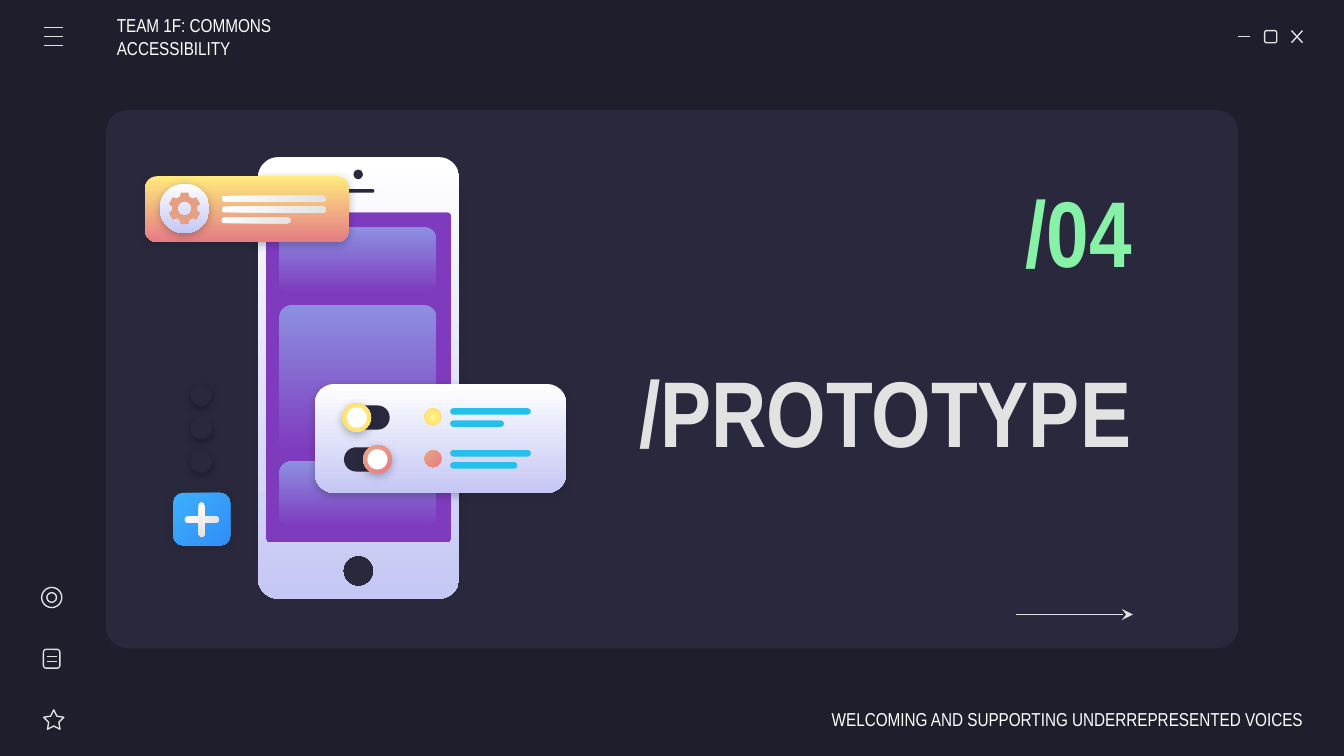
from dataclasses import dataclass
from math import cos, radians, sin

from pptx import Presentation
from pptx.dml.color import RGBColor
from pptx.enum.shapes import MSO_CONNECTOR, MSO_SHAPE as Preset
from pptx.enum.text import MSO_ANCHOR, PP_ALIGN as Align
from pptx.oxml import parse_xml
from pptx.oxml.ns import nsdecls, qn
from pptx.util import Pt


@dataclass(frozen=True)
class Theme:
    font: str = "Arial Narrow"
    title_size: int = 50
    small_size: int = 10
    hairline: float = 0.75
    background: str = "1E1E2C"
    panel: str = "29283D"
    light: str = "E2E2E2"
    white: str = "FFFFFF"
    green: str = "86F1A7"
    purple: str = "7E3BBE"
    gear: str = "E5A083"
    cyan: str = "24BFEB"
    black: str = "000000"
    # Gradients: first colour, last colour, direction
    pale: tuple = ("FFFFFF", "C5C7F4", "down")
    card: tuple = ("8D90E1", "7E3BBE", "down")
    sunset: tuple = ("FFEA7D", "E57C85", "down")
    silver: tuple = ("FFFFFF", "E2E2E2", "diagonal")
    blue: tuple = ("3DB0FD", "308EF7", "diagonal")
    coral: tuple = ("E9A984", "E57C85", "diagonal")
    yellow: tuple = ("FFF68E", "FFD966", "radial")


THEME = Theme()


@dataclass(frozen=True)
class Box:
    x: float
    y: float
    w: float
    h: float

    def inner(self, x, y, w, h):
        return Box(self.x + x, self.y + y, w, h)

    def points(self):
        return Pt(self.x), Pt(self.y), Pt(self.w), Pt(self.h)


def paint(shape, fill=None, line=None, shadow=None):
    shape.shadow.inherit = False
    if fill is None:
        shape.fill.background()
    elif isinstance(fill, str):
        shape.fill.solid()
        shape.fill.fore_color.rgb = RGBColor.from_string(fill)
    else:
        *colors, direction = fill
        shape.fill.gradient()
        for stop, color in zip(shape.fill.gradient_stops, colors):
            stop.color.rgb = RGBColor.from_string(color)
        if direction == "radial":
            lin = shape._element.spPr.find(qn("a:gradFill")).find(qn("a:lin"))
            lin.getparent().replace(lin, parse_xml(
                f'<a:path {nsdecls("a")} path="circle">'
                '<a:fillToRect l="50000" t="50000" r="50000" b="50000"/></a:path>'))
        else:
            shape.fill.gradient_angle = 270 if direction == "down" else 315
    if line:
        shape.line.color.rgb = RGBColor.from_string(line)
        shape.line.width = Pt(THEME.hairline)
    else:
        shape.line.fill.background()
    if shadow:
        shape._element.spPr.find(qn("a:effectLst")).append(parse_xml(
            f'<a:outerShdw {nsdecls("a")} blurRad="{Pt(4.5)}" dist="{Pt(1.5)}" dir="5400000" '
            f'algn="bl" rotWithShape="0"><a:srgbClr val="{shadow}"><a:alpha val="30000"/>'
            '</a:srgbClr></a:outerShdw>'))
    return shape


def rounded(shapes, box, radius, **look):
    shape = shapes.add_shape(Preset.ROUNDED_RECTANGLE, *box.points())
    shape.adjustments[0] = radius / min(box.w, box.h)
    return paint(shape, **look)


def pill(shapes, box, **look):
    return rounded(shapes, box, min(box.w, box.h) / 2, **look)


def disc(shapes, box, **look):
    return paint(shapes.add_shape(Preset.OVAL, *box.points()), **look)


def rule(shapes, x1, y1, x2, y2):
    line = shapes.add_connector(MSO_CONNECTOR.STRAIGHT, Pt(x1), Pt(y1), Pt(x2), Pt(y2))
    line.line.color.rgb = RGBColor.from_string(THEME.light)
    line.line.width = Pt(THEME.hairline)
    line._element.spPr.append(parse_xml(f'<a:effectLst {nsdecls("a")}/>'))
    return line


def polar(x, y, radius, degrees):
    return x + radius * cos(radians(degrees)), y + radius * sin(radians(degrees))


def rounded_outline(box, radius):
    right, bottom = box.x + box.w - radius, box.y + box.h - radius
    left, top = box.x + radius, box.y + radius
    corners = [(right, bottom), (left, bottom), (left, top), (right, top)]
    return [polar(x, y, radius, 90 * i + step)
            for i, (x, y) in enumerate(corners) for step in range(0, 91, 10)]


def cutout(shapes, outlines, fill):
    """Draw the first outline with the others as holes in it."""
    scaled = [[(Pt(x), Pt(y)) for x, y in outline] for outline in outlines]
    builder = shapes.build_freeform(*scaled[0][0], scale=1.0)
    for i, outline in enumerate(scaled):
        if i:
            builder.move_to(*outline[0])
        builder.add_line_segments(outline[1:], close=True)
    return paint(builder.convert_to_shape(), fill)


def label(shapes, box, text, size, color, bold=False, align=Align.RIGHT, left=7.2, right=7.2):
    frame = shapes.add_textbox(*box.points()).text_frame
    frame.word_wrap = True
    frame.vertical_anchor = MSO_ANCHOR.MIDDLE
    frame.margin_left, frame.margin_right = Pt(left), Pt(right)
    frame.margin_top = frame.margin_bottom = Pt(7.2)
    paragraph = frame.paragraphs[0]
    paragraph.text = text
    paragraph.alignment = align
    font = paragraph.font
    font.name, font.size, font.bold = THEME.font, Pt(size), bold
    font.color.rgb = RGBColor.from_string(color)


def window_controls(shapes, box):
    middle = box.y + box.h / 2
    rule(shapes, box.x, middle, box.x + 6.5, middle)
    rounded(shapes, box.inner(14.4, 0, 6.5, 6.5), 1.1, line=THEME.light)
    left, right, bottom = box.x + 28.8, box.x + box.w, box.y + box.h
    rule(shapes, left, box.y, right, bottom)
    rule(shapes, right, box.y, left, bottom)


def menu(shapes, box):
    for i in range(3):
        y = box.y + i * box.h / 2
        rule(shapes, box.x, y, box.x + box.w, y)


def sidebar(shapes, box):
    # Target, note and star
    disc(shapes, box.inner(0, 0, 10.8, 10.8), line=THEME.light)
    disc(shapes, box.inner(2.8, 2.8, 5.2, 5.2), line=THEME.light)
    note = box.inner(1, 33.2, 8.8, 10.1)
    rounded(shapes, note, 1.5, line=THEME.light)
    for y in (3.7, 6.5):
        rule(shapes, note.x + 1.8, note.y + y, note.x + 7, note.y + y)
    star = shapes.add_shape(Preset.STAR_5_POINT, *box.inner(1.1, 65.6, 10.8, 10.4).points())
    star.adjustments[0] = 0.254
    paint(star, line=THEME.light)


def phone(shapes, box):
    rounded(shapes, box.inner(1.4, 21.6, 105.1, 189.4), 0, fill=THEME.purple,
            shadow=THEME.background)
    for y, height in ((37.4, 35.3), (79.2, 78.5), (162.7, 35.3)):
        rounded(shapes, box.inner(11.5, y, 84, height), 6.5, fill=THEME.card)
    # Body with openings for camera, speaker, screen and home button
    openings = [((51.1, 6.7, 5.2, 5.2), 2.6), ((44.6, 17, 18, 2.2), 1.1),
                ((4.3, 29.5, 99.2, 177.1), 1.8), ((45.5, 213.4, 16.6, 16.6), 8.3)]
    outlines = [rounded_outline(box, 10.8)]
    outlines += [rounded_outline(box.inner(*place), radius) for place, radius in openings]
    cutout(shapes, outlines, THEME.pale)


def notification(shapes, box):
    rounded(shapes, box, 6.6, fill=THEME.sunset, shadow=THEME.background)
    disc(shapes, box.inner(7.9, 4, 26.6, 26.6), fill=THEME.pale, shadow=THEME.background)
    x, y = box.x + 21.2, box.y + 17.3
    teeth = [polar(x, y, radius, 60 * tooth - 90 + turn) for tooth in range(6)
             for turn, radius in ((-21, 6.8), (-14, 8.7), (14, 8.7), (21, 6.8))]
    cutout(shapes, [teeth, rounded_outline(Box(x - 3.6, y - 3.6, 7.2, 7.2), 3.6)], THEME.gear)
    for i, width in enumerate((55.8, 55.8, 36.9)):
        pill(shapes, box.inner(41, 10.4 + 5.8 * i, width, 3.2), fill=THEME.silver)


def settings(shapes, box):
    rounded(shapes, box, 10.4, fill=THEME.pale, shadow=THEME.background)
    # Knob offset, accent and second bar width of each row
    rows = [(14.7, THEME.yellow, 28.8), (25.8, THEME.coral, 36)]
    for i, (knob_x, accent, width) in enumerate(rows):
        row = box.inner(0, 10.3 + 22.4 * i, box.w, 15.4)
        pill(shapes, row.inner(15.6, 1.2, 24.5, 13), fill=THEME.panel)
        knob = row.inner(knob_x, 0, 15.4, 15.4)
        disc(shapes, knob, fill=accent, shadow=THEME.background)
        disc(shapes, knob.inner(2.3, 2.3, 10.8, 10.8), fill=THEME.white)
        disc(shapes, row.inner(58.6, 2.7, 9.2, 9.2), fill=accent)
        pill(shapes, row.inner(72.5, 2.7, 43.2, 3.5), fill=THEME.cyan)
        pill(shapes, row.inner(72.5, 9.2, width, 3.5), fill=THEME.cyan)


def add_button(shapes, box):
    # Three dots above the plus button
    for i in range(3):
        disc(shapes, box.inner(9.3, 18 * i, 11.5, 11.5), fill=THEME.panel, shadow=THEME.black)
    button = box.inner(0, 58.3, 30.5, 28.1)
    rounded(shapes, button, 5.1, fill=THEME.blue, shadow=THEME.background)
    for angle in (0, 90):
        pill(shapes, button.inner(6.1, 12.6, 18.3, 3.3), fill=THEME.silver).rotation = angle


def section_heading(shapes, box):
    label(shapes, box.inner(0, 70.6, 309.6, 118.1), "/PROTOTYPE", THEME.title_size,
          THEME.light, bold=True)
    label(shapes, box.inner(181.4, 0, 128.2, 66.2), "/04", THEME.title_size,
          THEME.green, bold=True)
    y = box.y + box.h
    arrow = rule(shapes, box.x + 240.5, y, box.x + 303.1, y)
    arrow._element.spPr.find(qn("a:ln")).append(
        parse_xml(f'<a:tailEnd {nsdecls("a")} type="stealth"/>'))


def main():
    deck = Presentation()
    deck.slide_width, deck.slide_height = Pt(720), Pt(405)
    slide = deck.slides.add_slide(deck.slide_layouts[6])
    slide.background.fill.solid()
    slide.background.fill.fore_color.rgb = RGBColor.from_string(THEME.background)
    shapes = slide.shapes

    # Panel and window frame
    rounded(shapes, Box(56.8, 59, 606.6, 288.4), 11.5, fill=THEME.panel)
    window_controls(shapes.add_group_shape().shapes, Box(663.1, 16.4, 34.7, 6.5))
    menu(shapes.add_group_shape().shapes, Box(23.5, 14.8, 10.5, 9.5))
    sidebar(shapes.add_group_shape().shapes, Box(22.3, 314.7, 12, 76))

    section_heading(shapes, Box(303.8, 90, 309.6, 239.2))

    # Phone illustration
    illustration = shapes.add_group_shape().shapes
    phone(illustration, Box(138.2, 84.2, 107.8, 236.5))
    notification(illustration, Box(77.7, 94.4, 109.4, 35.3))
    settings(illustration, Box(168.7, 205.7, 134.7, 58.4))
    add_button(illustration, Box(92.8, 205.8, 30.5, 86.4))

    # Footer and header
    label(shapes, Box(412.6, 374.6, 285.1, 21.6),
          "WELCOMING AND SUPPORTING UNDERREPRESENTED VOICES",
          THEME.small_size, THEME.white, right=0)
    label(shapes, Box(62.6, 8.8, 144.7, 21.6), "TEAM 1F: COMMONS ACCESSIBILITY",
          THEME.small_size, THEME.white, align=Align.LEFT, left=0)
    deck.save("out.pptx")


if __name__ == "__main__":
    main()
